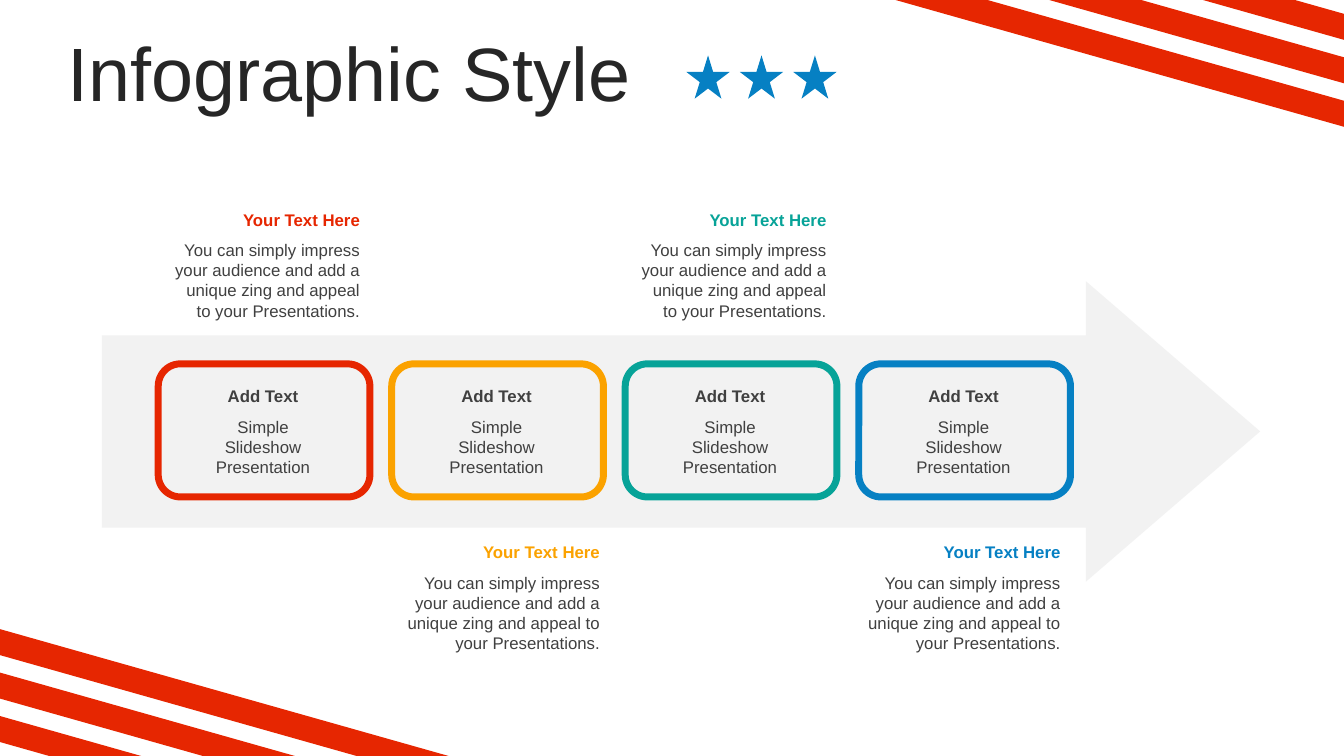
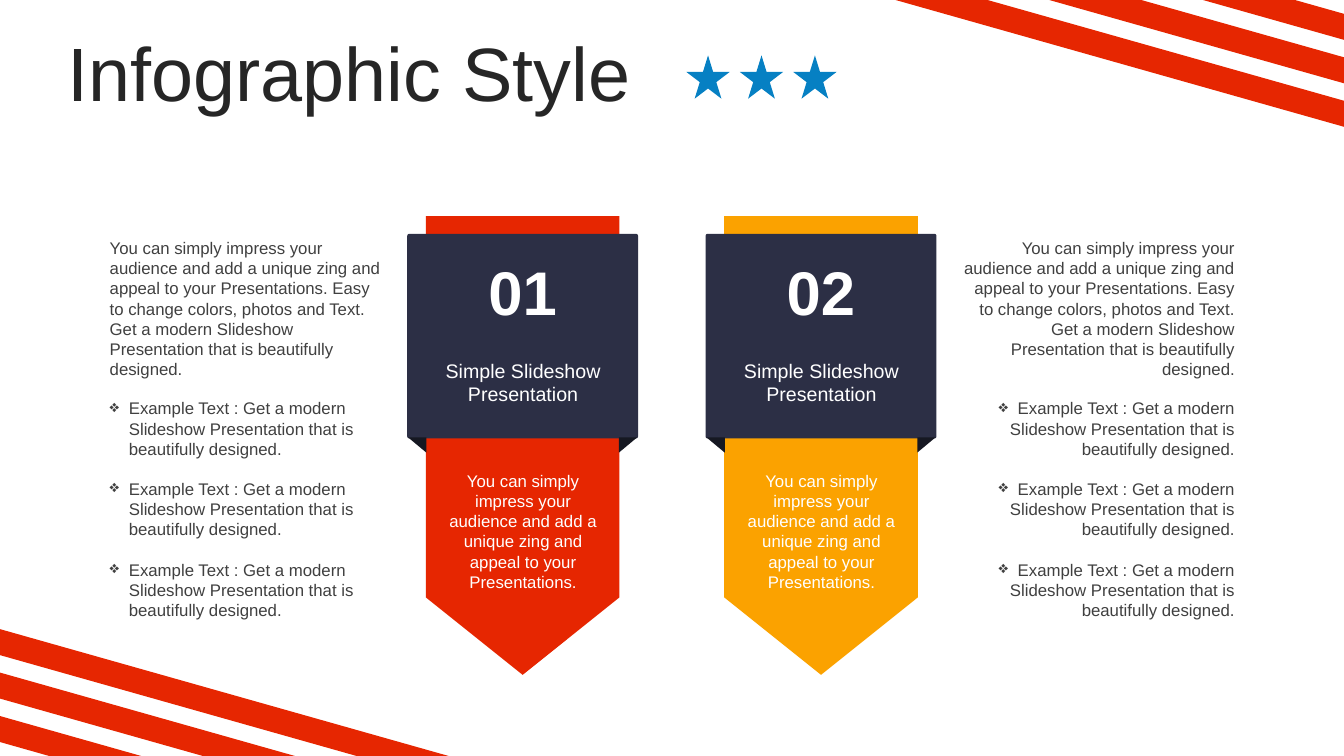
"""Build two infographic slides on a grid of 160 columns by 90 rows."""
from lxml import etree
from pptx import Presentation
from pptx import util as u
from pptx.dml.color import RGBColor
from pptx.enum import shapes, text
from pptx.oxml.ns import qn

COLS, ROWS = 160, 90
CELL = u.Inches(7.5) // ROWS
FONT = "Arial"
C = {"red": "E62601", "amber": "FBA200", "teal": "07A398", "blue": "0680C3",
     "navy": "2C2F45", "fold": "161822", "pale": "F2F2F2",
     "title": "262626", "body": "404040", "white": "FFFFFF"}
KIND, ALIGN = shapes.MSO_SHAPE, text.PP_ALIGN
IMPRESS = ("You can simply impress your audience and add a unique zing "
           "and appeal to your Presentations.")
DETAIL = (IMPRESS + " Easy to change colors, photos and Text. Get a modern "
          "Slideshow Presentation that is beautifully designed.")
EXAMPLE = "Example Text : Get a modern Slideshow Presentation that is beautifully designed."


def draw(s, kind, box, fill, line=None, adj=(), turn=0):
    sp = s.shapes.add_shape(kind, *[round(v * CELL) for v in box])
    sp.shadow.inherit = False
    sp.fill.solid()
    sp.fill.fore_color.rgb = RGBColor.from_string(C[fill])
    if line:
        sp.line.color.rgb = RGBColor.from_string(C[line])
        sp.line.width = u.Pt(5)
    else:
        sp.line.fill.background()
    for i, value in enumerate(adj):
        sp.adjustments[i] = value
    sp.rotation = turn


def write(s, box, lines, color, align, size=12, bold=False, bullet=None):
    tf = s.shapes.add_textbox(*[round(v * CELL) for v in box]).text_frame
    tf.word_wrap = True
    for i, line in enumerate(lines):
        p = tf.paragraphs[0] if i == 0 else tf.add_paragraph()
        p.alignment = align
        if i:
            p.space_before = u.Pt(14.4)
        if bullet:
            pPr = p._p.get_or_add_pPr()
            indent = u.Inches(0.19)
            pPr.set("marL", str(indent))
            pPr.set("indent", str(-indent))
            etree.SubElement(pPr, qn("a:buChar")).set("char", bullet)
        r = p.add_run()
        r.text = line
        r.font.name, r.font.size, r.font.bold = FONT, u.Pt(size), bold
        r.font.color.rgb = RGBColor.from_string(C[color])


prs = Presentation()
prs.slide_width, prs.slide_height = COLS * CELL, ROWS * CELL
layout = prs.slide_layouts[5]
process, banners = [prs.slides.add_slide(layout) for _ in range(2)]

slope, thick = 15.1 / 53.4, 10.95
for corner in range(2):
    stripes = []
    for reach in (16.8, 35.1, 53.4):
        inner = reach - thick
        outline = [(0, ROWS - reach * slope), (reach, ROWS),
                   (inner, ROWS), (0, ROWS - inner * slope)]
        if corner:
            outline = [(COLS - x, ROWS - y) for x, y in outline]
        stripes.append([(round(x * CELL), round(y * CELL)) for x, y in outline])
    fb = process.shapes.build_freeform(*stripes[0][0])
    for i, outline in enumerate(stripes):
        if i:
            fb.move_to(*outline[0])
        fb.add_line_segments(outline[1:], close=True)
    sp = fb.convert_to_shape()
    sp.shadow.inherit = False
    sp.fill.solid()
    sp.fill.fore_color.rgb = RGBColor.from_string(C["red"])
    sp.line.fill.background()
    sp.name = f"Corner stripes {corner + 1}"
    sp.element.nvSpPr.cNvPr.set("id", str(20 + corner))
    layout.shapes.element.append(sp.element)

for s in (process, banners):
    title = s.shapes.title
    title.left, title.top, title.width, title.height = [
        round(v * CELL) for v in (6.84, 4.44, 145, 9.5)]
    tf = title.text_frame
    tf.word_wrap = True
    tf.auto_size = text.MSO_AUTO_SIZE.NONE
    tf.vertical_anchor = text.MSO_ANCHOR.MIDDLE
    p = tf.paragraphs[0]
    p.alignment, p.line_spacing = ALIGN.LEFT, 0.9
    r = p.add_run()
    r.text = "Infographic Style"
    r.font.name, r.font.size = FONT, u.Pt(54)
    r.font.color.rgb = RGBColor.from_string(C["title"])
    for i in range(3):
        draw(s, KIND.STAR_5_POINT, (81.72 + 6.36 * i, 6.6, 5.16, 5.16), "blue")

draw(process, KIND.RIGHT_ARROW, (12.12, 33.48, 137.9, 35.76), "pale", adj=(0.64, 0.58))
steps = [("red", 19.44, 24.6), ("amber", 46.5, 26.1),
         ("teal", 74.88, 24.7), ("blue", 101.88, 25.56)]
for i, (color, col, cols) in enumerate(steps):
    card = 18.84 + 27.8 * i
    draw(process, KIND.ROUNDED_RECTANGLE, (card, 43.32, 25.2, 15.84), "pale", line=color)
    write(process, (card + 4.08, 45.36, 16.8, 3.6), ["Add Text"], "body", ALIGN.CENTER, bold=True)
    write(process, (card + 4.08, 48.96, 16.8, 8.52), ["Simple Slideshow Presentation"],
          "body", ALIGN.CENTER)
    row = 63.96 if i % 2 else 24.36
    write(process, (col, row, cols, 3.6), ["Your Text Here"], color, ALIGN.RIGHT, bold=True)
    write(process, (col, row + 3.6, cols, 10.92), [IMPRESS], "body", ALIGN.RIGHT)

for col, align in ((11.88, ALIGN.LEFT), (112.92, ALIGN.RIGHT)):
    write(banners, (col, 27.72, 35.28, 18.12), [DETAIL], "body", align)
    write(banners, (col, 46.8, 35.28, 27.84), [EXAMPLE] * 3, "body", align, bullet="❖")

for i, color in enumerate(("red", "amber")):
    col = 48.48 + 35.52 * i
    draw(banners, KIND.PENTAGON, (col - 13.56, 41.52, 54.6, 23.04), color, adj=(0.4,), turn=90)
    draw(banners, KIND.ROUNDED_RECTANGLE, (col, 27.84, 27.48, 24.36), "navy", adj=(0.01,))
    draw(banners, KIND.RIGHT_TRIANGLE, (col + 0.12, 52.08, 2.16, 1.8), "fold", turn=180)
    draw(banners, KIND.RIGHT_TRIANGLE, (col + 25.38, 51.9, 1.8, 2.16), "fold", turn=90)
    write(banners, (col + 7.44, 29.64, 12.6, 10.08), [f"{i + 1:02}"], "white",
          ALIGN.CENTER, size=44, bold=True)
    write(banners, (col + 2.52, 42.12, 22.56, 6.84), ["Simple Slideshow Presentation"],
          "white", ALIGN.CENTER, size=14)
    write(banners, (col + 2.88, 55.44, 21.84, 15.72), [IMPRESS], "white", ALIGN.CENTER)

prs.save("out.pptx")
